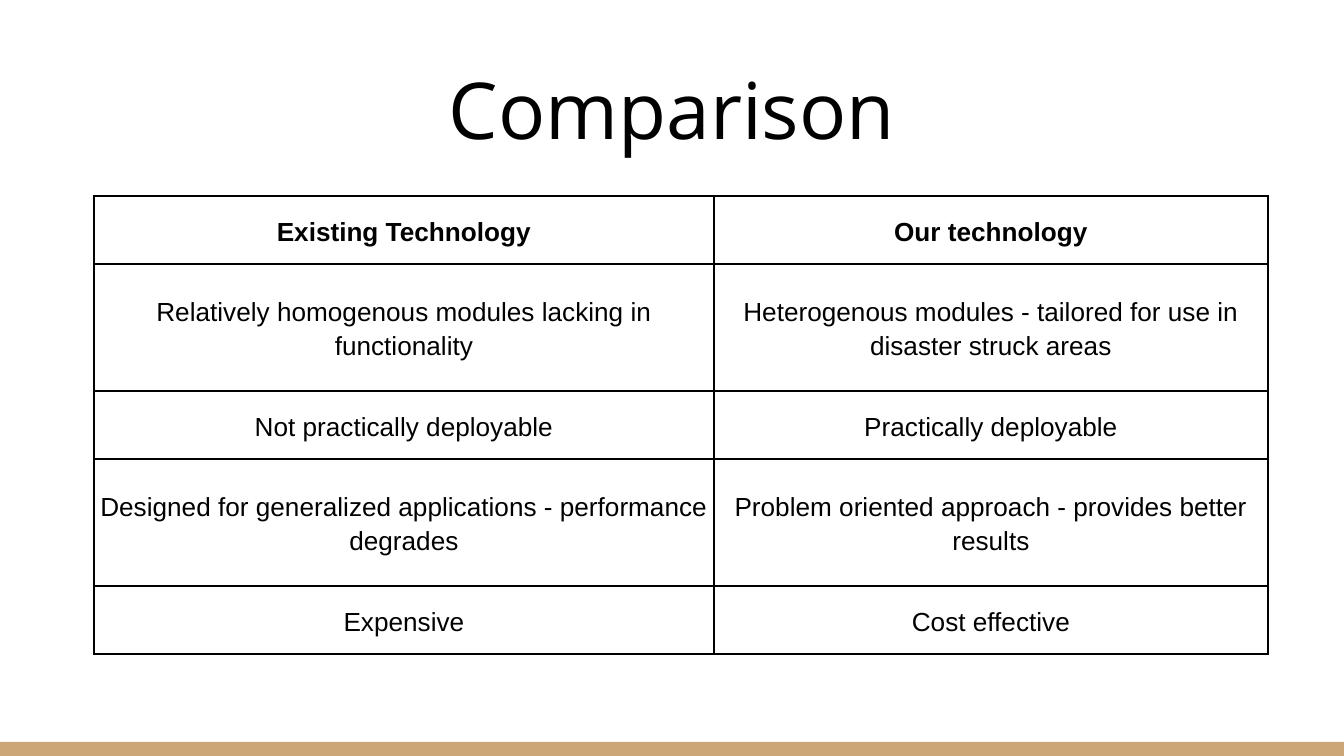
import pptx
import pptx.util
import pptx.dml.color
import pptx.enum.shapes
import pptx.enum.text
import pptx.oxml
import pptx.oxml.ns

PX = 914400 / 134.4
HEX = {"ink": "000000", "band": "CCA677"}
ROWS = [
    ("Existing Technology", "Our technology"),
    ("Relatively homogenous modules lacking in functionality",
     "Heterogenous modules - tailored for use in disaster struck areas"),
    ("Not practically deployable", "Practically deployable"),
    ("Designed for generalized applications - performance degrades",
     "Problem oriented approach - provides better results"),
    ("Expensive", "Cost effective"),
]
WIDTHS = [620, 554]
HEIGHTS = [68, 127, 68, 127, 68]
CENTER = pptx.enum.text.PP_ALIGN.CENTER
MIDDLE = pptx.enum.text.MSO_ANCHOR.MIDDLE


def emu(*vals):
    return [pptx.util.Emu(round(v * PX)) for v in vals]


def write(frame, text, font, gap=1.0):
    par = frame.paragraphs[0]
    par.alignment = CENTER
    par.line_spacing = gap
    run = par.add_run()
    run.text = text
    for key, val in font.items():
        setattr(run.font, key, val)
    run.font.color.rgb = pptx.dml.color.RGBColor.from_string(HEX["ink"])


deck = pptx.Presentation()
deck.slide_width, deck.slide_height = emu(1344, 756)
slide = deck.slides.add_slide(deck.slide_layouts[5])

# Bottom band
band = slide.shapes.add_shape(
    pptx.enum.shapes.MSO_SHAPE.RECTANGLE, *emu(0, 742, 1344, 14))
band.shadow.inherit = False
band.fill.solid()
band.fill.fore_color.rgb = pptx.dml.color.RGBColor.from_string(HEX["band"])
band.line.fill.background()

# Title
title = slide.shapes.title
title.left, title.top, title.width, title.height = emu(46, 47, 1252, 122)
inset = pptx.util.Inches(0.1)
form = {"vertical_anchor": pptx.enum.text.MSO_ANCHOR.BOTTOM,
        "auto_size": pptx.enum.text.MSO_AUTO_SIZE.NONE, "word_wrap": True,
        "margin_left": inset, "margin_right": inset,
        "margin_top": inset, "margin_bottom": inset}
for key, val in form.items():
    setattr(title.text_frame, key, val)
write(title.text_frame, "Comparison",
      {"name": "Open Sans", "size": pptx.util.Pt(42)})

# Table grid
grid = slide.shapes.add_table(
    len(ROWS), 2, *emu(94, 196, sum(WIDTHS), sum(HEIGHTS))).table
grid.first_row = grid.horz_banding = False
for col, wide in zip(grid.columns, emu(*WIDTHS)):
    col.width = wide
for row, high in zip(grid.rows, emu(*HEIGHTS)):
    row.height = high

# Cells: text, then borders, then an empty fill
side, edge = emu(4, 3)
form = {"vertical_anchor": MIDDLE, "margin_left": side, "margin_right": side,
        "margin_top": edge, "margin_bottom": edge}
for r, texts in enumerate(ROWS):
    for c, text in enumerate(texts):
        cell = grid.cell(r, c)
        for key, val in form.items():
            setattr(cell, key, val)
        write(cell.text_frame, text, {
            "name": "Arial", "size": pptx.util.Pt(14), "bold": r == 0}, 1.15)
        props = cell._tc.get_or_add_tcPr()
        for tag in ("lnL", "lnR", "lnT", "lnB"):
            thick = 1.5 if r == 0 and tag != "lnB" else 0.75
            props.append(pptx.oxml.parse_xml(
                f'<a:{tag} {pptx.oxml.ns.nsdecls("a")} w="{pptx.util.Pt(thick)}">'
                f'<a:solidFill><a:srgbClr val="{HEX["ink"]}"/></a:solidFill>'
                f'</a:{tag}>'))
        cell.fill.background()

deck.save("out.pptx")
